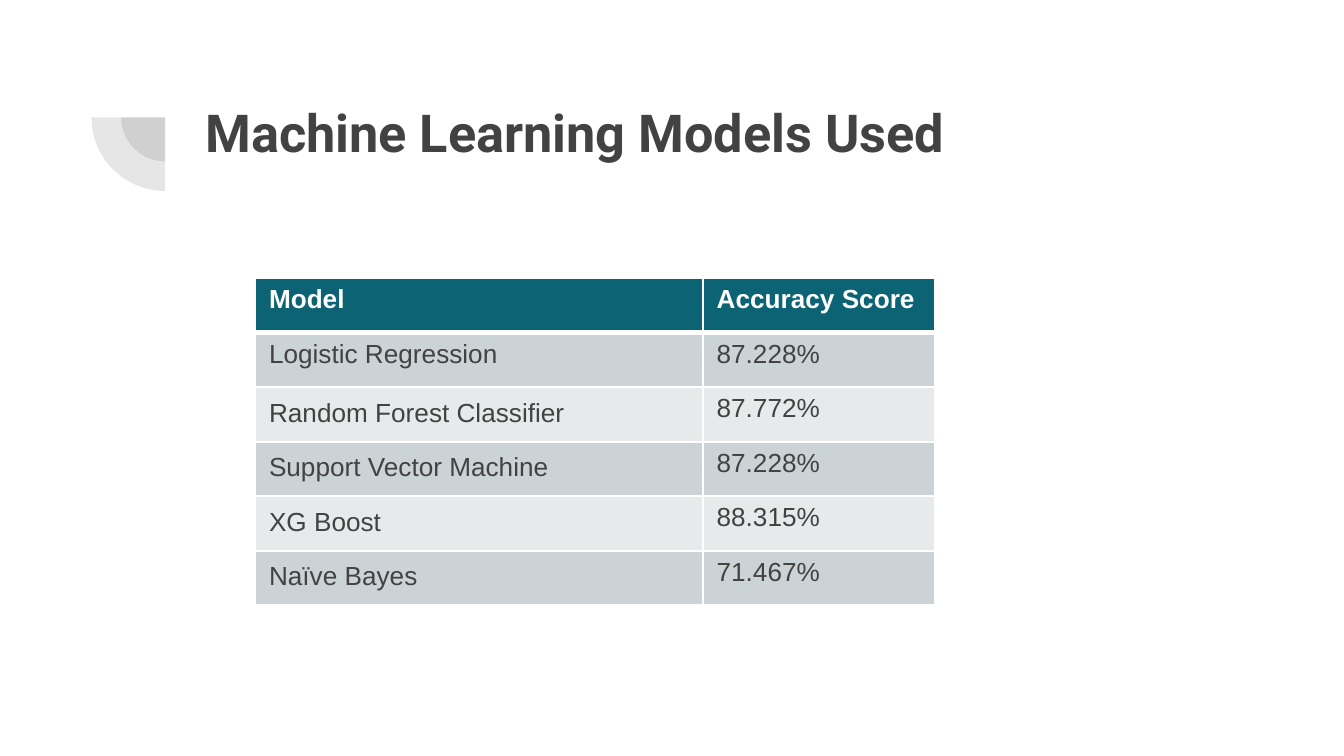
"""Build the slide of model accuracy scores."""
import pptx
import pptx.dml.color
import pptx.enum.shapes
import pptx.enum.text
import pptx.oxml
import pptx.oxml.ns
import pptx.util
from pptx.util import Cm, Pt

HEADING = "Machine Learning Models Used"
SCORES = [
    ("Model", "Accuracy Score"),
    ("Logistic Regression", "87.228%"),
    ("Random Forest Classifier", "87.772%"),
    ("Support Vector Machine", "87.228%"),
    ("XG Boost", "88.315%"),
    ("Naïve Bayes", "71.467%"),
]
COLORS = {"ink": "424242", "white": "FFFFFF", "teal": "0B6374",
          "dark_band": "CCD3D6", "light_band": "E7EAEB"}
COLUMN_WIDTHS = (8.46, 4.37)
ROW_HEIGHT = 1.03
TABLE_LEFT, TABLE_TOP = 4.83, 5.26
ARC_CENTER = (3.12, 2.22)
ARC_RADII = (0.83, 1.39)
TITLE_BOX = {"left": 3.63, "top": 1.65, "width": 19.53, "height": 2.77}
TITLE_FRAME = {"word_wrap": True, "vertical_anchor": pptx.enum.text.MSO_ANCHOR.TOP,
               "auto_size": pptx.enum.text.MSO_AUTO_SIZE.NONE}
TITLE_FRAME.update({f"margin_{side}": Cm(0.25) for side in ("left", "right", "top", "bottom")})
TITLE_FONT = {"name": "Roboto", "size": Pt(28), "bold": True}
SPACED = {"line_spacing": 1.15, "space_after": Pt(12)}


def rgb(name):
    return pptx.dml.color.RGBColor.from_string(COLORS[name])


def apply(target, values):
    for key, value in values.items():
        setattr(target, key, value)


def write(paragraph, words, font, color):
    run = paragraph.add_run()
    run.text = words
    apply(run.font, font)
    run.font.color.rgb = rgb(color)


def add_borders(cell, widths):
    properties = cell._tc.get_or_add_tcPr()
    for side, points in widths.items():
        properties.append(pptx.oxml.parse_xml(
            f'<a:ln{side} {pptx.oxml.ns.nsdecls("a")} w="{Pt(points)}"><a:solidFill>'
            f'<a:srgbClr val="{COLORS["white"]}"/></a:solidFill></a:ln{side}>'))


deck = pptx.Presentation()
deck.slide_width, deck.slide_height = Cm(25.4), Cm(14.29)
slide = deck.slides.add_slide(deck.slide_layouts[5])

title = slide.shapes.title
apply(title, {key: Cm(value) for key, value in TITLE_BOX.items()})
apply(title.text_frame, TITLE_FRAME)
heading = title.text_frame.paragraphs[0]
heading.alignment = pptx.enum.text.PP_ALIGN.LEFT
write(heading, HEADING, TITLE_FONT, "ink")

for radius in ARC_RADII:
    arc = slide.shapes.add_shape(
        pptx.enum.shapes.MSO_SHAPE.PIE,
        *(Cm(middle - radius) for middle in ARC_CENTER), Cm(2 * radius), Cm(2 * radius))
    arc.adjustments[0], arc.adjustments[1] = 54, 108
    arc.shadow.inherit = False
    arc.line.fill.background()
    arc.fill.solid()
    arc.fill.fore_color.rgb = rgb("ink")
    tint = arc._element.spPr.find(".//" + pptx.oxml.ns.qn("a:srgbClr"))
    tint.append(pptx.oxml.parse_xml(f'<a:alpha {pptx.oxml.ns.nsdecls("a")} val="13000"/>'))

scores = slide.shapes.add_table(
    len(SCORES), len(COLUMN_WIDTHS), Cm(TABLE_LEFT), Cm(TABLE_TOP),
    Cm(sum(COLUMN_WIDTHS)), Cm(ROW_HEIGHT * len(SCORES))).table
for column, width in zip(scores.columns, COLUMN_WIDTHS):
    column.width = Cm(width)
for row, entries in enumerate(SCORES):
    scores.rows[row].height = Cm(ROW_HEIGHT)
    header = row == 0
    band = "teal" if header else ("light_band", "dark_band")[row % 2]
    for column, words in enumerate(entries):
        cell = scores.cell(row, column)
        add_borders(cell, {"L": 1, "R": 1, "T": 3 if row == 1 else 1, "B": 3 if header else 1})
        cell.fill.solid()
        cell.fill.fore_color.rgb = rgb(band)
        paragraph = cell.text_frame.paragraphs[0]
        write(paragraph, words, {"name": "Arial", "size": Pt(14), "bold": header},
              "white" if header else "ink")
        if row > 1 and column == 0:
            apply(paragraph, SPACED)

deck.save("out.pptx")
